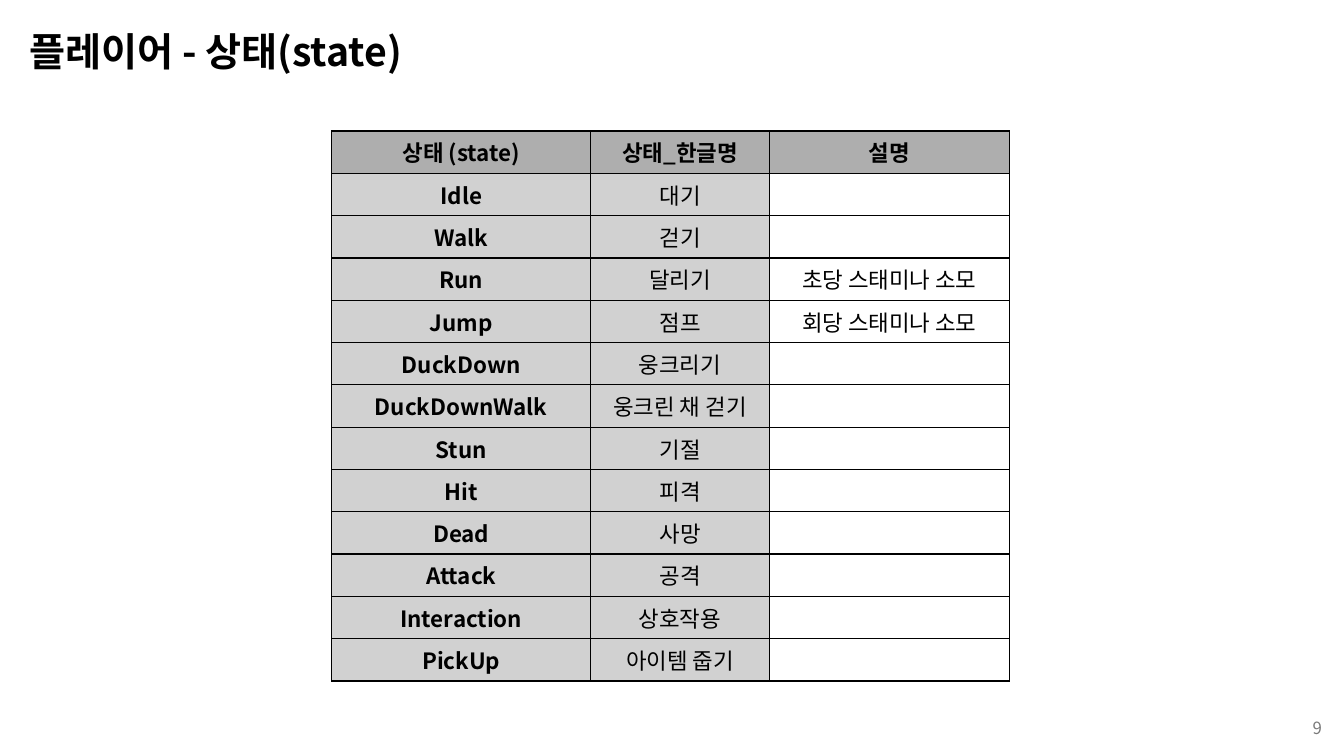
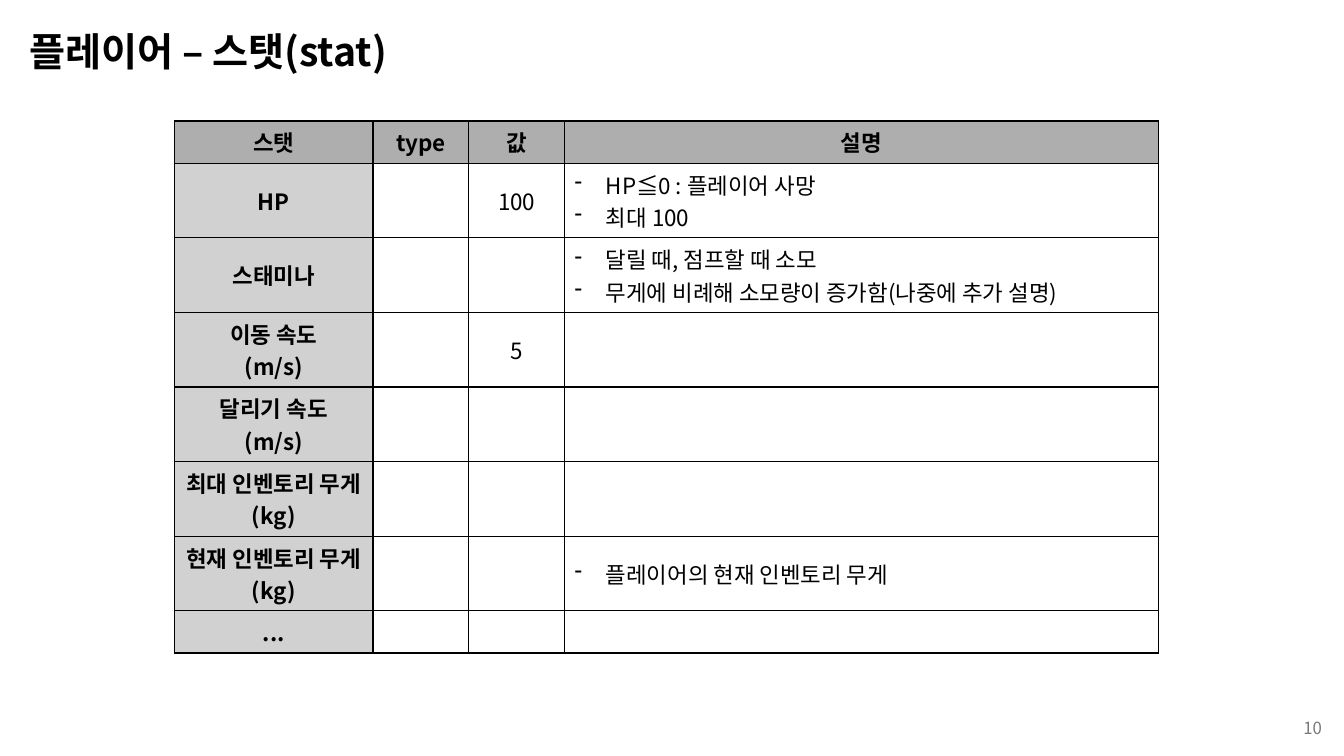
from dataclasses import dataclass

import lxml.etree
import pptx
import pptx.dml.color
import pptx.enum.text
import pptx.oxml.ns
import pptx.util

FONT = "Noto Sans CJK KR"
COLORS = {
    "ink": "000000",
    "page_number": "797979",
    "header": "AEAEAE",
    "label": "D1D1D1",
    "blank": "FFFFFF",
}
SLIDE_WIDTH, SLIDE_HEIGHT = 13.33, 7.5
SINGLE_ROW, DOUBLE_ROW = 0.42, 0.74
BULLET_INDENT = 0.31
ALIGN = pptx.enum.text.PP_ALIGN


@dataclass(frozen=True)
class Column:
    title: str
    width: float
    fill: str = "blank"
    bold: bool = False
    bullet: str = ""


@dataclass(frozen=True)
class TableSlide:
    title: str
    number: int
    left: float
    top: float
    columns: list[Column]
    rows: list[tuple[str, ...]]


TABLE_SLIDES = [
    TableSlide(
        "플레이어 - 상태(state)", 9, 3.29, 1.3,
        [
            Column("상태 (state)", 2.57, "label", True),
            Column("상태_한글명", 1.77, "label"),
            Column("설명", 2.38),
        ],
        [
            ("Idle", "대기", ""),
            ("Walk", "걷기", ""),
            ("Run", "달리기", "초당 스태미나 소모"),
            ("Jump", "점프", "회당 스태미나 소모"),
            ("DuckDown", "웅크리기", ""),
            ("DuckDownWalk", "웅크린 채 걷기", ""),
            ("Stun", "기절", ""),
            ("Hit", "피격", ""),
            ("Dead", "사망", ""),
            ("Attack", "공격", ""),
            ("Interaction", "상호작용", ""),
            ("PickUp", "아이템 줍기", ""),
        ],
    ),
    TableSlide(
        "플레이어 – 스탯(stat)", 10, 1.73, 1.2,
        [
            Column("스탯", 1.97, "label", True),
            Column("type", 0.95),
            Column("값", 0.95),
            Column("설명", 5.89, bullet="-"),
        ],
        [
            ("HP", "", "100", "HP≦0 : 플레이어 사망\n최대 100"),
            ("스태미나", "", "", "달릴 때, 점프할 때 소모\n무게에 비례해 소모량이 증가함(나중에 추가 설명)"),
            ("이동 속도\n(m/s)", "", "5", ""),
            ("달리기 속도\n(m/s)", "", "", ""),
            ("최대 인벤토리 무게\n(kg)", "", "", ""),
            ("현재 인벤토리 무게\n(kg)", "", "", "플레이어의 현재 인벤토리 무게"),
            ("...", "", "", ""),
        ],
    ),
]


def add_element(parent, tag: str, **attributes: str):
    element = lxml.etree.SubElement(parent, pptx.oxml.ns.qn(tag))
    for name, value in attributes.items():
        element.set(name, value)
    return element


def color_of(name: str) -> pptx.dml.color.RGBColor:
    return pptx.dml.color.RGBColor.from_string(COLORS[name])


def write_text(text_frame, text: str, *, size: float = 16, bold: bool = False,
               color: str = "ink", align=ALIGN.CENTER, bullet: str = "",
               line_spacing: float = 1.0) -> None:
    for index, line in enumerate(text.split("\n")):
        paragraph = text_frame.add_paragraph() if index else text_frame.paragraphs[0]
        paragraph.alignment = ALIGN.LEFT if bullet else align
        paragraph.line_spacing = line_spacing
        if bullet:
            properties = paragraph._p.get_or_add_pPr()
            indent = pptx.util.Inches(BULLET_INDENT)
            properties.set("marL", str(indent))
            properties.set("indent", str(-indent))
            add_element(properties, "a:buFontTx")
            add_element(properties, "a:buChar", char=bullet)
        run = paragraph.add_run()
        run.text = line
        run.font.name = FONT
        run.font.size = pptx.util.Pt(size)
        run.font.bold = bold
        run.font.color.rgb = color_of(color)
        add_element(run._r.get_or_add_rPr(), "a:ea", typeface=FONT)


def add_text_box(slide, left: float, top: float, width: float, height: float,
                 text: str, **text_format) -> None:
    shape = slide.shapes.add_textbox(*map(pptx.util.Inches, (left, top, width, height)))
    text_frame = shape.text_frame
    text_frame.word_wrap = True
    text_frame.vertical_anchor = pptx.enum.text.MSO_ANCHOR.MIDDLE
    write_text(text_frame, text, **text_format)


def fill_cell(cell, text: str, fill: str, **text_format) -> None:
    cell.vertical_anchor = pptx.enum.text.MSO_ANCHOR.MIDDLE
    if text:
        write_text(cell.text_frame, text, **text_format)
    properties = cell._tc.get_or_add_tcPr()
    for side in ("a:lnL", "a:lnR", "a:lnT", "a:lnB"):
        border = add_element(properties, side, w=str(pptx.util.Pt(1)))
        add_element(add_element(border, "a:solidFill"), "a:srgbClr", val=COLORS["ink"])
    cell.fill.solid()
    cell.fill.fore_color.rgb = color_of(fill)


def add_grid(slide, content: TableSlide) -> None:
    heights = [SINGLE_ROW] + [
        DOUBLE_ROW if any("\n" in text for text in row) else SINGLE_ROW
        for row in content.rows
    ]
    width = sum(column.width for column in content.columns)
    table = slide.shapes.add_table(
        len(heights), len(content.columns),
        *map(pptx.util.Inches, (content.left, content.top, width, sum(heights))),
    ).table
    table.first_row = table.horz_banding = False
    for table_row, height in zip(table.rows, heights):
        table_row.height = pptx.util.Inches(height)
    for column_index, column in enumerate(content.columns):
        table.columns[column_index].width = pptx.util.Inches(column.width)
        fill_cell(table.cell(0, column_index), column.title, "header", bold=True)
        for row_index, row in enumerate(content.rows, start=1):
            fill_cell(table.cell(row_index, column_index), row[column_index],
                      column.fill, bold=column.bold, bullet=column.bullet)


def add_table_slide(presentation, content: TableSlide) -> None:
    slide = presentation.slides.add_slide(presentation.slide_layouts[6])
    add_text_box(slide, 0.19, 0.09, 12.91, 0.89, content.title,
                 size=28, bold=True, align=ALIGN.LEFT, line_spacing=0.9)
    add_text_box(slide, 10.21, 7.02, 3, 0.4, str(content.number),
                 size=12, color="page_number", align=ALIGN.RIGHT)
    add_grid(slide, content)


def main() -> None:
    presentation = pptx.Presentation()
    presentation.slide_width = pptx.util.Inches(SLIDE_WIDTH)
    presentation.slide_height = pptx.util.Inches(SLIDE_HEIGHT)
    for content in TABLE_SLIDES:
        add_table_slide(presentation, content)
    presentation.save("out.pptx")


if __name__ == "__main__":
    main()
